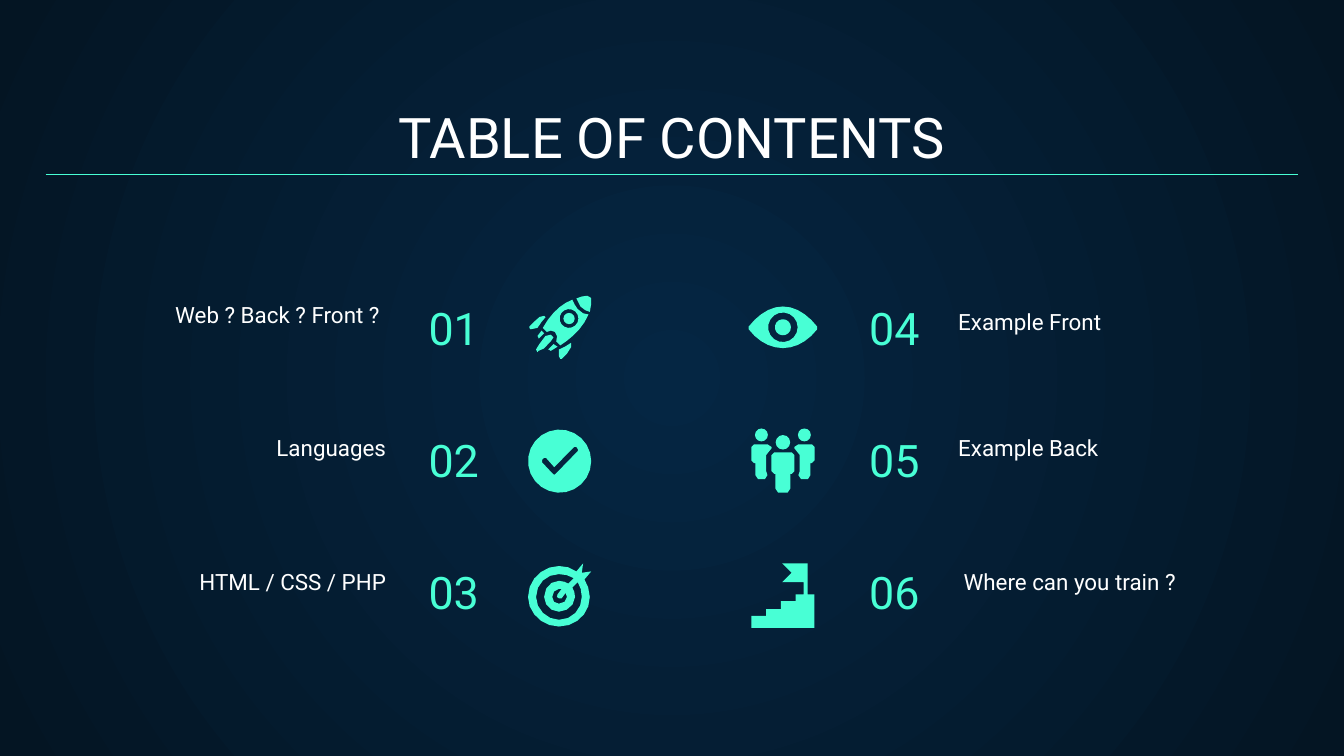
import math
from lxml import etree
from pptx import Presentation
from pptx.dml.color import RGBColor
from pptx.enum import shapes, text
from pptx.oxml.ns import qn
from pptx.util import Cm, Pt

HUES = {"mint": "48FFD5", "white": "FFFFFF", "core": "052643", "edge": "041523"}
FONT = "Roboto"
UNIT = Cm(0.0254)  # icons are drawn on a grid of about 47 units
LEFT, MID, RIGHT = text.PP_ALIGN.LEFT, text.PP_ALIGN.CENTER, text.PP_ALIGN.RIGHT


def hue(name):
    return RGBColor.from_string(HUES[name])


def write(slide, words, box, size=12, color="white", align=LEFT):
    area = slide.shapes.add_textbox(*(Cm(n) for n in box))
    frame = area.text_frame
    frame.word_wrap = True
    frame.auto_size = text.MSO_AUTO_SIZE.NONE
    frame.vertical_anchor = text.MSO_ANCHOR.BOTTOM
    frame.margin_left = frame.margin_right = Cm(0.25)
    frame.margin_top = frame.margin_bottom = Cm(0.25)
    para = frame.paragraphs[0]
    para.alignment = align
    run = para.add_run()
    run.text = words
    run.font.name = FONT
    run.font.size = Pt(size)
    run.font.color.rgb = hue(color)


def ring(x, y, r):
    count = 12 + int(r / 2)
    turns = [2 * math.pi * i / count for i in range(count)]
    return [(x + r * math.cos(t), y + r * math.sin(t)) for t in turns]


def trace(steps):
    """Turn steps into points: two numbers make a corner, six a Bezier curve."""
    points = []
    for step in steps.split():
        nums = [float(n) for n in step.split(",")]
        if len(nums) == 2:
            points.append(tuple(nums))
            continue
        knots = [points[-1]] + list(zip(nums[::2], nums[1::2]))
        parts = 1 + int(math.dist(knots[0], knots[-1]) / 7)
        for i in range(1, parts + 1):
            t = i / parts
            mix = ((1 - t) ** 3, 3 * t * (1 - t) ** 2, 3 * t * t * (1 - t), t ** 3)
            points.append(tuple(sum(m * k[axis] for m, k in zip(mix, knots))
                                for axis in (0, 1)))
    return points


SIDE = trace("2,11 0,13 0,23 2,25 3,25 3,34 5,37 10,37 12,34 11,31 11,19 "
             "11,17,13,15,15,14 15,13 12,11")

# An icon lists its parts: a disc (x, y, radius), or outlines of which inner ones are holes.
ROCKET = [
    [trace("10,26 7,30 8,32 11,29 12,28")],
    [trace("19,36 15,40 17,41 22,38")],
    [trace("17,29 13,30 9,35,7,38,6,40 7,42 8,41 10,41,13,39,17,34 19,31")],
    [trace("12,15 10,15,7,16,5,19 1,23 1,24 2,25 7,24 9,21,11,18,13,16")],
    [trace("32,35 29,37,26,39,23,40 23,45 24,47 25,47 29,43 32,40,33,36,32,35")],
    (30.5, 17, 4.2),
    [trace("44,0 41,0,39,1,36,2 36,4,37,6,39,8 41,10,44,12,46,12 47,9,47,5,47,2 46,1")],
    [trace("33,3 25,6,17,13,11,24 14,27 17,26 20,27 22,29,22,31,21,34 24,37 "
           "32,32,41,24,45,14 42,14,40,13,37,10 35,8,34,5,33,3"), ring(30.5, 17, 7)],
]
CHECK = [[ring(23.5, 23.5, 23.5),
          trace("34.5,13 36,13 37,14.5 37,16 20.5,33 19.5,33.7 18.5,33 10.5,24.5 "
                "10.5,22.5 12,21 13.5,21.2 19.5,28 34,13.3")]]
TARGET = [[
    trace("41,0 36,6 32,3,28,2,23,2 11,2,0,12,0,25 0,37,11,47,23,47 36,47,46,37,46,25 "
          "46,20,44,15,42,12 47,6 40,7"),
    trace("23,8 27,8,31,9,34,11 30,15 28,14,26,13,23,13 17,13,12,18,12,25 "
          "12,31,17,36,23,36 29,36,35,31,35,25 35,22,34,20,33,18 37,14 "
          "39,17,40,21,40,25 40,34,33,42,23,42 14,42,6,34,6,25 6,15,14,8,23,8"),
    trace("23,19 25,19 22,23 21.5,25 23,26 25,26 28,22 29,25 29,28,26,30,23,30 "
          "20,30,18,28,18,25 18,22,20,19,23,19"),
]]
EYE = [[
    trace("23.5,8 14,8,5,14,-2,23 -2,25 5,34,14,39,23.5,39 33,39,42,34,49,25 49,23 "
          "42,14,33,8,23.5,8"),
    ring(23.5, 23.5, 11), ring(23.5, 23.5, 6),
]]
TEAM = [
    (7.5, 4, 4.8), [SIDE], (39.5, 4, 4.8), [[(47 - x, y) for x, y in SIDE]],
    [trace("17,17 15,19 15,31 17,33 18,33 18,44 20,47 27,47 29,44 29,33 30,33 "
           "32,31 32,19 30,17")],
    (23.5, 9.5, 5.4),
]
STAIRS = [[trace("23,0 30,7 23,14 39,14 39,23 33,23 33,28 22,28 22,34 11,34 11,39 "
                 "0,39 0,48 47,48 47,23 42,23 42,0")]]


def disc(slide, left, top, x, y, r):
    size = round(2 * r * UNIT)
    return slide.shapes.add_shape(
        shapes.MSO_SHAPE.OVAL, round(Cm(left) + (x - r) * UNIT),
        round(Cm(top) + (y - r) * UNIT), size, size)


def outline(slide, left, top, lines):
    pen = None
    for line in lines:
        spots = [(round(Cm(left) + x * UNIT), round(Cm(top) + y * UNIT))
                 for x, y in line]
        if pen is None:
            pen = slide.shapes.build_freeform(*spots[0], scale=1.0)
        else:
            pen.move_to(*spots[0])
        pen.add_line_segments(spots[1:], close=True)
    return pen.convert_to_shape()


def draw(slide, icon, left, top):
    for part in icon:
        if isinstance(part, tuple):
            shape = disc(slide, left, top, *part)
        else:
            shape = outline(slide, left, top, part)
        shape.fill.solid()
        shape.fill.fore_color.rgb = hue("mint")
        shape.line.fill.background()
        shape.shadow.inherit = False


def paint(slide):
    """Fill the background with a round gradient."""
    fill = slide.background.fill
    fill.gradient()
    for stop, name in zip(fill.gradient_stops, ("core", "edge")):
        stop.color.rgb = hue(name)
    grad = slide._element.find(".//" + qn("a:gradFill"))
    grad.remove(grad.find(qn("a:lin")))
    way = etree.SubElement(grad, qn("a:path"), path="circle")
    etree.SubElement(way, qn("a:fillToRect"), l="50000", t="50000", r="50000", b="50000")


def header(slide, left, top, width):
    write(slide, "TABLE OF CONTENTS", (left, top, width, 1.68), size=30, align=MID)
    y = Cm(top + 1.52)
    rule = slide.shapes.add_connector(shapes.MSO_CONNECTOR.STRAIGHT,
                                      Cm(left), y, Cm(left + width), y)
    rule.line.color.rgb = hue("mint")
    rule.line.width = Pt(0.75)
    etree.SubElement(rule._element.spPr, qn("a:effectLst"))


def column(slide, left, top, first, align, shift, rows):
    """Stack numbered rows; shift places the icon across from the number box."""
    for i, (label, icon, x, y, side) in enumerate(rows):
        write(slide, f"{first + i:02}", (left, top + 2.49 * i, 3.28, 1.68),
              size=24, color="mint", align=align)
        write(slide, label, (left + x, top + y + 2.53 * i, 5.77, 0.53), align=side)
        draw(slide, icon, left + shift, top + 0.31 + 2.53 * i)


def main():
    deck = Presentation()
    deck.slide_width, deck.slide_height = Cm(25.4), Cm(14.29)
    slide = deck.slides.add_slide(deck.slide_layouts[6])
    paint(slide)
    header(slide, 0.86, 1.78, 23.67)
    column(slide, 7.85, 5.28, 1, LEFT, 2.13, [
        ("Web ? Back ? Front ?", ROCKET, -5.49, 0.64, MID),
        ("Languages", CHECK, -6.07, 0.62, RIGHT),
        ("HTML / CSS / PHP", TARGET, -6.07, 0.63, RIGHT)])
    column(slide, 14.35, 5.28, 4, RIGHT, -0.15, [
        ("Example Front", EYE, 3.51, 0.77, LEFT),
        ("Example Back", TEAM, 3.51, 0.62, LEFT),
        ("Where can you train ?", STAIRS, 3.61, 0.63, LEFT)])
    deck.save("out.pptx")


if __name__ == "__main__":
    main()
